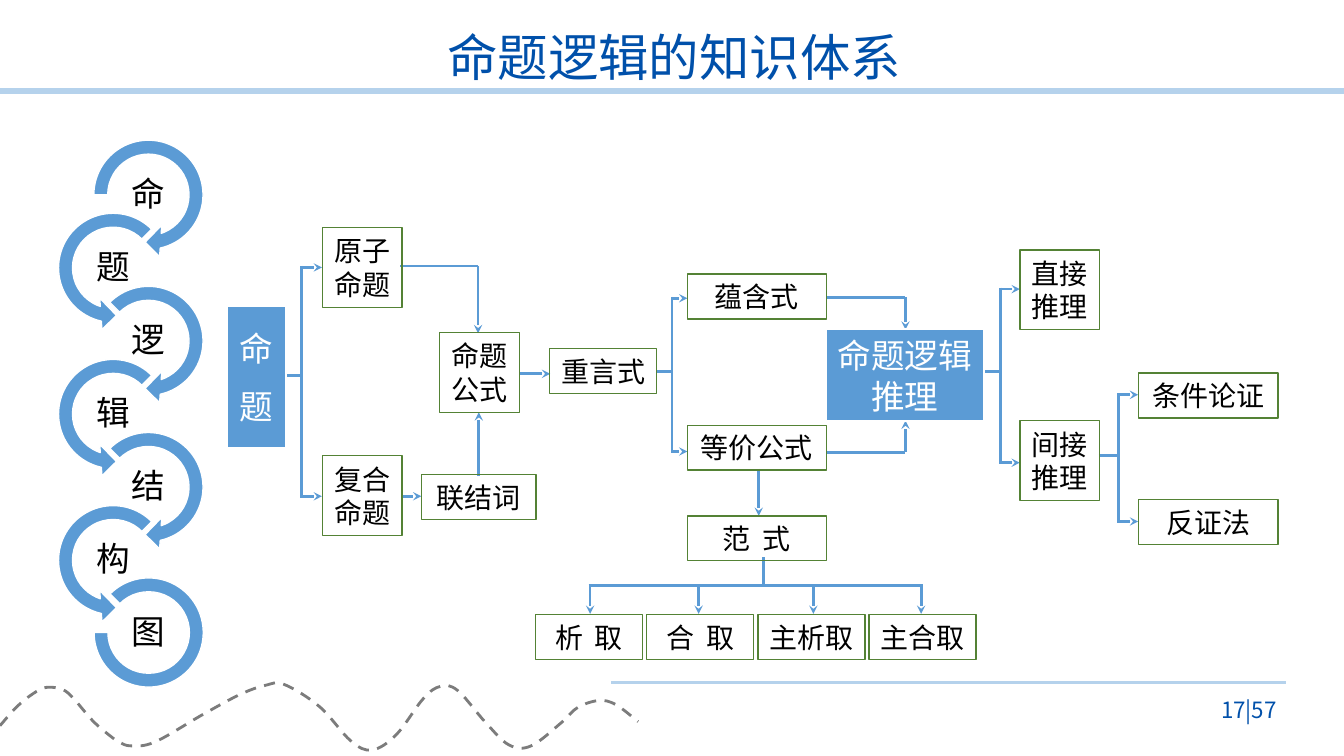
from dataclasses import dataclass

from lxml import etree
from pptx import Presentation
from pptx.dml.color import RGBColor
from pptx.enum.dml import MSO_LINE
from pptx.enum.shapes import MSO_CONNECTOR, MSO_SHAPE
from pptx.enum.text import MSO_ANCHOR, PP_ALIGN
from pptx.oxml.ns import qn
from pptx.util import Pt

STRAIGHT = MSO_CONNECTOR.STRAIGHT
RECTANGLE = MSO_SHAPE.RECTANGLE
RIGHT_ARC = MSO_SHAPE.CIRCULAR_ARROW
LEFT_ARC = MSO_SHAPE.LEFT_CIRCULAR_ARROW
END_ARC = MSO_SHAPE.BLOCK_ARC
MIDDLE = MSO_ANCHOR.MIDDLE
CENTER = PP_ALIGN.CENTER
RIGHT = PP_ALIGN.RIGHT
DASH = MSO_LINE.DASH


@dataclass(frozen=True)
class Theme:
    blue: RGBColor = RGBColor(0x5B, 0x9B, 0xD5)
    navy: RGBColor = RGBColor(0x00, 0x50, 0xAA)
    pale: RGBColor = RGBColor(0xB5, 0xD2, 0xEC)
    green: RGBColor = RGBColor(0x54, 0x82, 0x35)
    grey: RGBColor = RGBColor(0x7C, 0x7C, 0x7C)
    black: RGBColor = RGBColor(0, 0, 0)
    white: RGBColor = RGBColor(255, 255, 255)
    title_font: str = "Cambria"
    body_font: str = "Noto Sans CJK SC"
    title: int = 36
    large: int = 24
    body: int = 20
    small: int = 16


THEME = Theme()
SQUARE, SHORT, LONG = (57, 57), (76.5, 32), (99.5, 32)

CONCEPTS = [
    ("原子命题", 230.2, 162.5, SQUARE),
    ("复合命题", 230.2, 325.5, SQUARE),
    ("联结词", 301, 339, (82, 32)),
    ("命题\n公式", 314, 237.5, SQUARE),
    ("重言式", 392.6, 249, SHORT),
    ("蕴含式", 491, 195.8, LONG),
    ("等价公式", 491, 303.8, LONG),
    ("范 式", 491, 368.5, LONG),
    ("直接推理", 728.5, 178.5, SQUARE),
    ("间接推理", 728.5, 300.5, SQUARE),
    ("条件论证", 813.4, 266.5, LONG),
    ("反证法", 813.4, 357, LONG),
]
NORMAL_FORMS = ["析 取", "合 取", "主析取", "主合取"]

# root x, stem x, tip x, root y, branch heights
FORKS = [
    (202, 215.5, 230, 268.5, (191, 354.5)),
    (469, 480, 491, 265.5, (213, 322.5)),
    (700, 714.5, 728.5, 265.5, (206.5, 330.5)),
    (785, 799, 813, 325.5, (282, 372.5)),
]
ARROWS = [
    [(287, 354.5), (301, 354.5)],
    [(342, 340), (342, 294.5)],
    [(371, 267), (393, 267)],
    [(542, 335), (542, 368.5)],
    [(286, 190), (341.5, 190), (341.5, 238)],
    [(591, 212.5), (646.8, 212.5), (646.8, 235.5)],
    [(591, 323), (646.8, 323), (646.8, 300.5)],
]
WAVE = [
    (0, 518.4), (12.2, 504.7), (23.8, 495.4), (33.1, 491), (44.6, 492.5),
    (52.6, 499), (66.2, 514.8), (77.8, 524.9), (85, 529.9), (93.6, 532.8),
    (110.9, 529.9), (144.7, 510.5), (171.4, 496.1), (189.4, 489.6),
    (203, 488.9), (228.2, 504.7), (250.6, 529.2), (265.7, 535.7),
    (283, 524.9), (302.4, 499), (314.6, 490.3), (326.9, 493.2),
    (347, 516.2), (363.6, 532.1), (379.4, 532.8), (401, 516.2),
    (412.6, 505.4), (427.7, 500.4), (439.9, 503.3), (455.8, 515.5),
]


def write(box, text, size, color, font=THEME.body_font, align=CENTER, gap=0):
    """Fill a box with one paragraph per line of text."""
    frame = box.text_frame
    settings = {"word_wrap": True, "vertical_anchor": MIDDLE, "margin_left": Pt(3),
                "margin_right": Pt(3), "margin_top": 0, "margin_bottom": 0}
    for name, value in settings.items():
        setattr(frame, name, value)
    for index, line in enumerate(text.split("\n")):
        para = frame.add_paragraph() if index else frame.paragraphs[0]
        para.alignment = align
        para.line_spacing = Pt(round(size * 1.2))
        para.space_before = Pt(gap if index else 0)
        span = para.add_run()
        span.text = line
        span.font.size = Pt(size)
        span.font.color.rgb = color
        span.font.name = font
        properties = span._r.get_or_add_rPr()
        etree.SubElement(properties, qn("a:ea")).set("typeface", THEME.body_font)
        if " " in line:
            properties.set("spc", "200")


def add_label(page, text, place, size, color, **style):
    box = page.shapes.add_textbox(*map(Pt, place))
    write(box, text, size, color, **style)


def add_figure(page, kind, place, fill, outline, weight=1):
    figure = page.shapes.add_shape(kind, *map(Pt, place))
    figure.shadow.inherit = False
    if fill is None:
        figure.fill.background()
    else:
        figure.fill.solid()
        figure.fill.fore_color.rgb = fill
    figure.line.color.rgb = outline
    figure.line.width = Pt(weight)
    return figure


def add_concept(page, text, left, top, size):
    box = add_figure(page, RECTANGLE, (left, top, *size), None, THEME.green)
    write(box, text, THEME.body, THEME.black)


def add_key_block(page, text, place, gap=0):
    box = add_figure(page, RECTANGLE, place, THEME.blue, THEME.white, 1.5)
    write(box, text, THEME.large, THEME.white, gap=gap)


def add_line(page, start, end, color=THEME.blue, weight=2, arrow=False):
    line = page.shapes.add_connector(STRAIGHT, *map(Pt, (*start, *end)))
    line.line.color.rgb = color
    line.line.width = Pt(weight)
    etree.SubElement(line._element.spPr, qn("a:effectLst"))
    if arrow:
        etree.SubElement(line.line._get_or_add_ln(), qn("a:tailEnd")).set("type", "stealth")


def add_arrow(page, points):
    """Draw a route of straight pieces with a head on the last one."""
    for index in range(1, len(points)):
        add_line(page, points[index - 1], points[index], arrow=index == len(points) - 1)


def add_fork(page, root, stem, tip, center, branches, upright=False):
    """Split one stub into several arrows; upright forks point down."""
    def at(along, across):
        return (across, along) if upright else (along, across)

    add_line(page, at(root, center), at(stem, center))
    add_line(page, at(stem, min(branches) - 1), at(stem, max(branches) + 1))
    for branch in branches:
        add_line(page, at(stem, branch), at(tip, branch), arrow=True)


def add_chain(page, text):
    """Link the letters of a heading by alternating ring arrows."""
    ring, step, first_top = 90.7, 52.2, 93.8
    for index, letter in enumerate(text):
        top = first_top + index * step
        left = 35.5 if index % 2 else 60.7
        kind, place = RIGHT_ARC, (left, top, ring, ring)
        values = (0.11, 11.42, 45, 135 if index else 108, 0.125)
        if index == len(text) - 1:
            kind, place = END_ARC, (67.2, 412.8, 78, 78)
            values = (135, 108, 0.127)
        elif index % 2:
            kind, values = LEFT_ARC, (0.11, 11.42, 63, 189, 0.125)
        arc = add_figure(page, kind, place, THEME.blue, THEME.white)
        for position, value in enumerate(values):
            arc.adjustments[position] = value
        add_label(page, letter, (left + 20, top + 31.2, 50.5, 25), THEME.large, THEME.black)


def round_corners(outline):
    """Turn the straight pieces of a freeform into Catmull-Rom curves."""
    knots = [(int(point.get("x")), int(point.get("y")))
             for point in outline.iter(qn("a:pt"))]
    padded = [knots[0], *knots, knots[-1]]
    pieces = list(outline.iter(qn("a:lnTo")))
    for piece, a, b, c, d in zip(pieces, padded, padded[1:], padded[2:], padded[3:]):
        leave = [q + (r - p) / 6 for p, q, r in zip(a, b, c)]
        arrive = [r - (s - q) / 6 for q, r, s in zip(b, c, d)]
        curve = etree.Element(qn("a:cubicBezTo"))
        for x, y in (leave, arrive, c):
            point = etree.SubElement(curve, qn("a:pt"))
            point.set("x", str(round(x)))
            point.set("y", str(round(y)))
        piece.getparent().replace(piece, curve)


def add_wave(page, knots):
    builder = page.shapes.build_freeform(*map(Pt, knots[0]))
    builder.add_line_segments([tuple(map(Pt, knot)) for knot in knots[1:]], close=False)
    wave = builder.convert_to_shape()
    round_corners(wave._element)
    wave.shadow.inherit = False
    wave.fill.background()
    wave.line.color.rgb = THEME.grey
    wave.line.width = Pt(2)
    wave.line.dash_style = DASH


def main():
    deck = Presentation()
    deck.slide_width, deck.slide_height = Pt(960), Pt(540)
    page = deck.slides.add_slide(deck.slide_layouts[6])

    add_line(page, (0, 65.2), (960, 65.2), THEME.pale, 4)
    add_line(page, (436.5, 487.5), (918.5, 487.5), THEME.pale, 1.75)
    add_wave(page, WAVE)
    add_label(page, "命题逻辑的知识体系", (113, 17, 737, 47), THEME.title, THEME.navy,
              font=THEME.title_font)
    add_chain(page, "命题逻辑结构图")

    for fork in FORKS:
        add_fork(page, *fork)
    add_fork(page, 398, 418.5, 438.5, 545.5, (421.5, 499, 581, 658), upright=True)
    for points in ARROWS:
        add_arrow(page, points)

    for concept in CONCEPTS:
        add_concept(page, *concept)
    for index, name in enumerate(NORMAL_FORMS):
        add_concept(page, name, 382.5 + index * 79.4, 439, SHORT)
    add_key_block(page, "命\n题", (162, 218.5, 42.5, 101.5), gap=12)
    add_key_block(page, "命题逻辑\n推理", (589.7, 235.3, 113, 65.5))
    add_label(page, "17|57", (843, 492.5, 72, 29), THEME.small, THEME.navy, align=RIGHT)
    deck.save("out.pptx")


if __name__ == "__main__":
    main()
